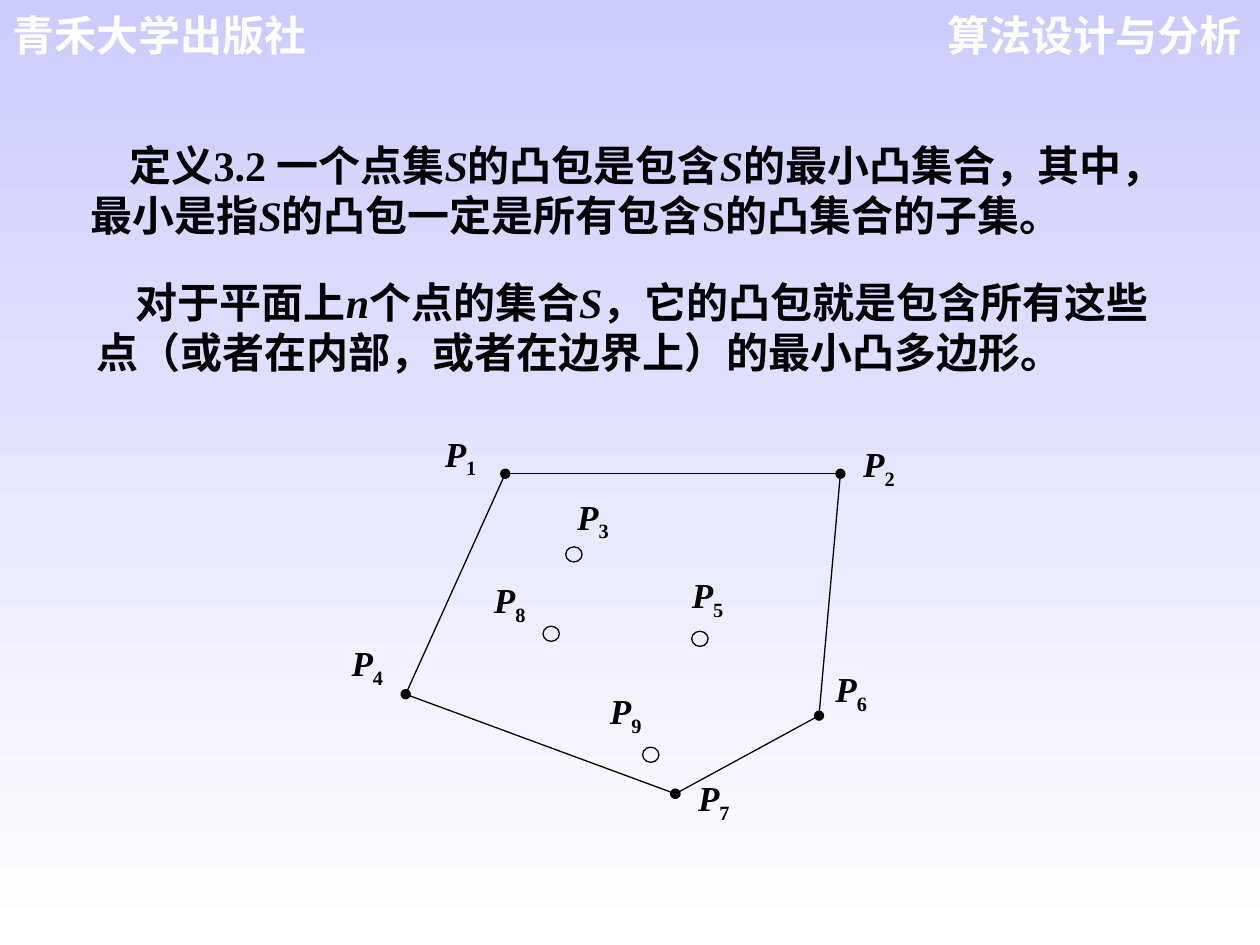
from lxml.etree import SubElement
from pptx import Presentation
from pptx.dml.color import RGBColor
from pptx.enum.shapes import MSO_CONNECTOR, MSO_SHAPE
from pptx.enum.text import PP_ALIGN
from pptx.oxml.ns import qn
from pptx.util import Inches, Pt

COLORS = {name: RGBColor.from_string(value) for name, value in
          {"top": "CCCCFF", "white": "FFFFFF", "ink": "000000"}.items()}
CJK, LATIN = "Noto Sans CJK SC", "Times New Roman"

prs = Presentation()
prs.slide_width, prs.slide_height = Inches(10), Inches(7.5)
s = prs.slides.add_slide(prs.slide_layouts[6])

fill = s.background.fill
fill.gradient()
fill.gradient_angle = 270
for stop, name in zip(fill.gradient_stops, ("top", "white")):
    stop.color.rgb = COLORS[name]


def add_text(left, top, width, height, margins=(0, 0)):
    """Add a wrapping text box and return its first paragraph."""
    tf = s.shapes.add_textbox(*map(Inches, (left, top, width, height))).text_frame
    tf.word_wrap = True
    tf.margin_left = tf.margin_right = Inches(margins[0])
    tf.margin_top = tf.margin_bottom = Inches(margins[1])
    return tf.paragraphs[0]


def add_run(p, text, size, font, color="ink", italic=False):
    """Add a bold run with matching Latin and East Asian typefaces."""
    r = p.add_run()
    r.text = text
    r.font.size, r.font.name = Pt(size), font
    r.font.bold, r.font.italic = True, italic
    r.font.color.rgb = COLORS[color]
    SubElement(r.font._element, qn("a:ea")).set("typeface", CJK)
    return r


# Page header
for left, align, text in ((7.24, PP_ALIGN.RIGHT, "算法设计与分析"),
                          (0, PP_ALIGN.LEFT, "青禾大学出版社")):
    p = add_text(left, 0, 2.71, 0.5, (0.1, 0.08))
    p.alignment, p.line_spacing = align, Pt(28.6)
    add_run(p, text, 24, "Arial", "white")

# Definition and explanation: (text, font, italic)
definition = [("定义", CJK, False), ("3.2 ", LATIN, False),
              ("一个点集", CJK, False), ("S", LATIN, True),
              ("的凸包是包含", CJK, False), ("S", LATIN, True),
              ("的最小凸集合，其中，最小是指", CJK, False), ("S", LATIN, True),
              ("的凸包一定是所有包含", CJK, False), ("S", LATIN, False),
              ("的凸集合的子集。", CJK, False)]
explanation = [("对于平面上", CJK, False), ("n", LATIN, True),
               ("个点的集合", CJK, False), ("S", LATIN, True),
               ("，它的凸包就是包含所有这些点（或者在内部，或者在边界上）"
                "的最小凸多边形。", CJK, False)]
for box, runs in (((0.62, 1.03, 8.81, 1.3), definition),
                  ((0.67, 2.12, 8.75, 0.9), explanation)):
    p = add_text(*box, (0.1, 0.08))
    p.line_spacing = Pt(28.6)
    p._p.get_or_add_pPr().set("indent", str(Inches(0.31)))
    for text, font, italic in runs:
        add_run(p, text, 24, font, italic=italic)

# Convex hull: edges between the outer points, some with dots at both ends
hull = {1: (4.01, 3.76), 2: (6.67, 3.76), 4: (3.22, 5.51),
        6: (6.5, 5.68), 7: (5.36, 6.3)}
for start, end, dotted in ((1, 2, True), (1, 4, False), (4, 7, True),
                           (7, 6, True), (2, 6, False)):
    edge = s.shapes.add_connector(MSO_CONNECTOR.STRAIGHT,
                                  *map(Inches, hull[start] + hull[end]))
    edge.line.color.rgb = COLORS["ink"]
    edge.line.width = Pt(0.75)
    if dotted:
        for tag in ("a:headEnd", "a:tailEnd"):
            SubElement(edge.line._get_or_add_ln(), qn(tag)).set("type", "oval")
    SubElement(edge._element.spPr, qn("a:effectLst"))

# Inner points
for left, top in ((4.49, 4.34), (4.31, 4.97), (5.49, 5.01), (5.1, 5.93)):
    sp = s.shapes.add_shape(MSO_SHAPE.OVAL, *map(Inches, (left, top, 0.13, 0.12)))
    sp.shadow.inherit = False
    sp.fill.background()
    sp.line.color.rgb = COLORS["ink"]
    sp.line.width = Pt(0.75)

# Point labels
labels = {1: (3.53, 3.43), 2: (6.85, 3.51), 3: (4.58, 3.93),
          4: (2.79, 5.09), 5: (5.49, 4.55), 6: (6.63, 5.3),
          7: (5.54, 6.2), 8: (3.92, 4.59), 9: (4.84, 5.47)}
for number, (left, top) in labels.items():
    p = add_text(left, top, 0.35, 0.27 if number == 7 else 0.42)
    p.alignment = PP_ALIGN.JUSTIFY
    if number == 7:
        p.line_spacing = 0.8
    add_run(p, "P", 20, LATIN, italic=True)
    add_run(p, str(number), 20, LATIN).font._element.set("baseline", "-25000")

prs.save("out.pptx")
